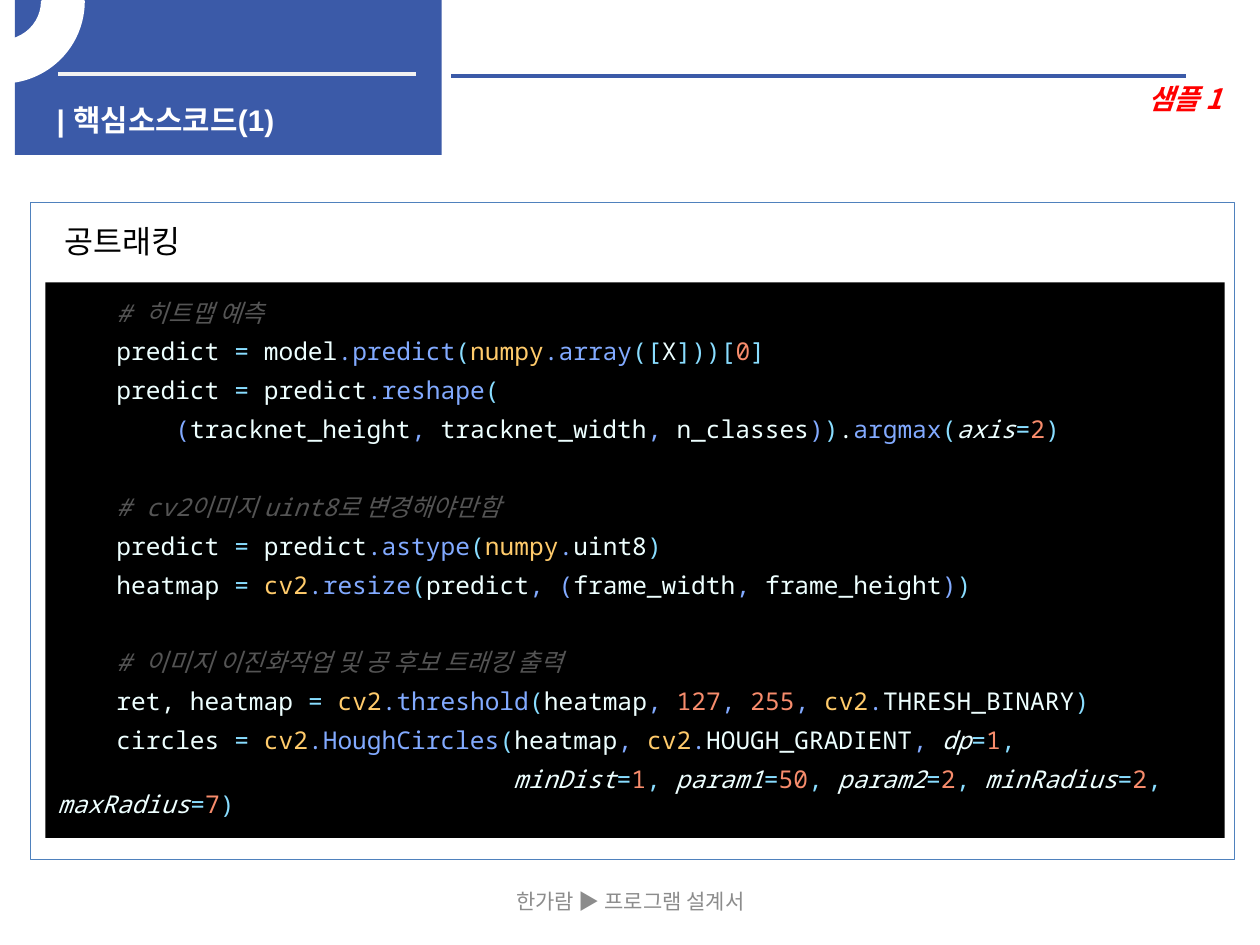
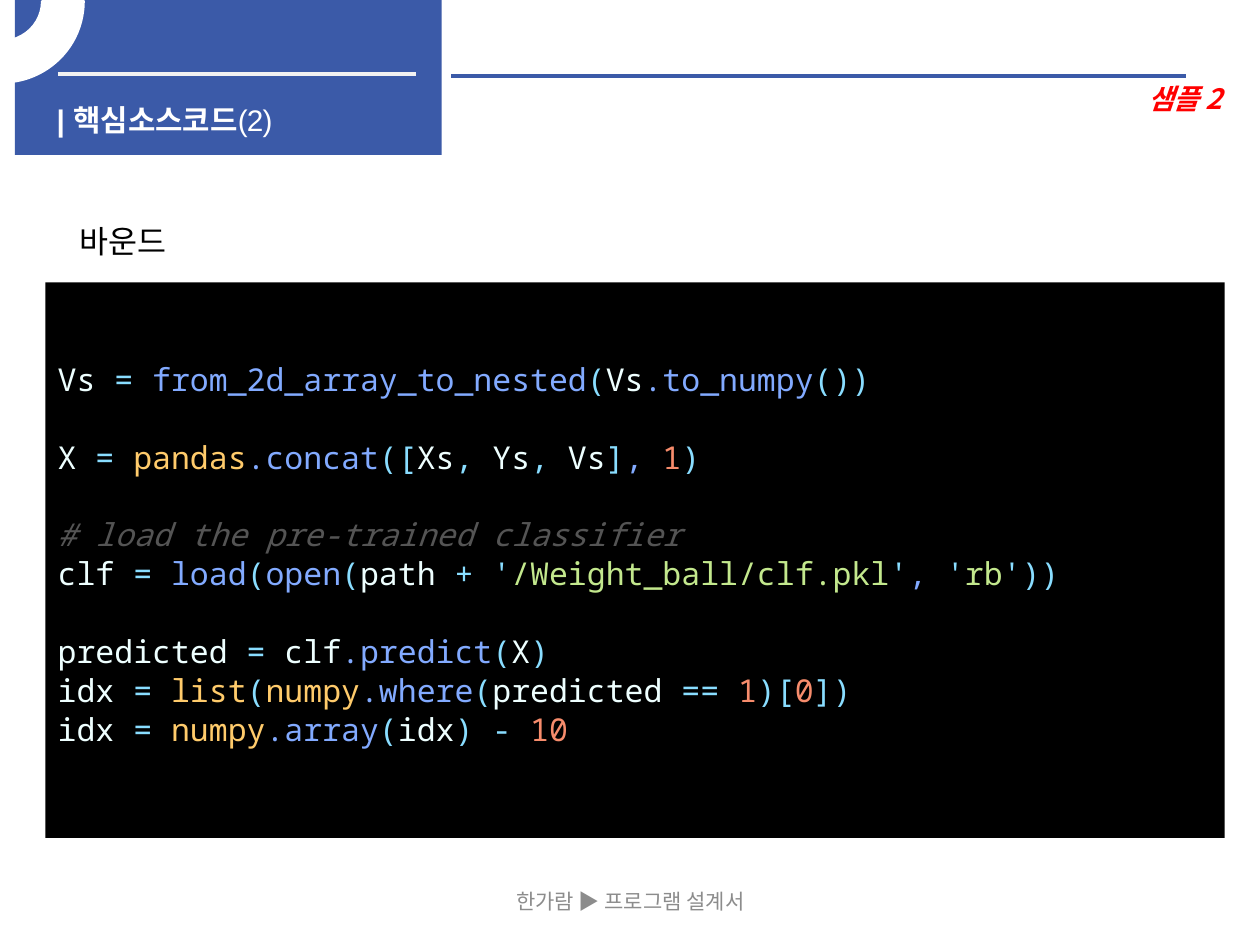
import pptx
import pptx.dml.color
import pptx.enum.shapes
import pptx.enum.text
import pptx.oxml.ns
import pptx.util
import lxml.etree

Pt = pptx.util.Pt
SHAPE = pptx.enum.shapes.MSO_SHAPE
ALIGN = pptx.enum.text.PP_ALIGN
ANCHOR = pptx.enum.text.MSO_ANCHOR

BLUE = "3B5AA8"
WHITE = "FFFFFF"
KOREAN_FONT = "Noto Sans CJK KR"
CODE_FONT = "Noto Sans Mono"
LINE_PITCH = 14.2
LINE_GAP = 8
CHAR_RATIO = 0.6

TITLE = {"size": Pt(17), "name": "Arial", "bold": True, "color": WHITE}
FOOTER = {"size": Pt(12), "name": KOREAN_FONT, "color": "8C8C8C"}
SAMPLE = {"size": Pt(16), "name": KOREAN_FONT, "bold": True, "italic": True, "color": "FF0000"}
HEADING = {"size": Pt(18), "name": KOREAN_FONT, "color": "000000"}

SYNTAX = {
    "n": {"color": "EEFFFF"},
    "o": {"color": "89DDFF"},
    "f": {"color": "82AAFF"},
    "m": {"color": "FFCB6B"},
    "v": {"color": "F78C6C"},
    "s": {"color": "C3E88D"},
    "c": {"color": "545454", "italic": True},
    "a": {"color": "EEFFFF", "italic": True},
}

TRACKING_CODE = [
    [
        (4, "c:# 히트맵 예측"),
        (4, "n:predict ~o:= ~n:model~f:.predict~o:(~m:numpy~f:.array~o:([~n:X~o:]))[~v:0~o:]"),
        (4, "n:predict ~o:= ~n:predict~f:.reshape~o:("),
        (8, "f:(~n:tracknet_height~f:, ~n:tracknet_width~f:, ~n:n_classes~f:)~o:)~n:.~f:argmax"
            "~o:(~a:axis~o:=~v:2~o:)"),
    ],
    [
        (4, "c:# cv2이미지 uint8로 변경해야만함"),
        (4, "n:predict ~o:= ~n:predict~f:.astype~o:(~m:numpy~f:.~n:uint8~o:)"),
        (4, "n:heatmap ~o:= ~m:cv2~f:.resize~o:(~n:predict~f:, (~n:frame_width~f:, "
            "~n:frame_height~f:)~o:)"),
    ],
    [
        (4, "c:# 이미지 이진화작업 및 공 후보 트래킹 출력"),
        (4, "n:ret, heatmap ~o:= ~m:cv2~f:.threshold~o:(~n:heatmap~f:, ~v:127~f:, ~v:255~f:, "
            "~m:cv2~f:.~n:THRESH_BINARY~o:)"),
        (4, "n:circles ~o:= ~m:cv2~f:.HoughCircles~o:(~n:heatmap~f:, ~m:cv2~f:."
            "~n:HOUGH_GRADIENT~f:, ~a:dp~o:=~v:1~o:,"),
        (31, "a:minDist~o:=~v:1~o:, ~a:param1~o:=~v:50~o:, ~a:param2~o:=~v:2~o:, "
             "~a:minRadius~o:=~v:2~o:, ~a:maxRadius~o:=~v:7~o:)"),
    ],
]

BOUND_CODE = [
    [(0, "n:Vs ~o:= ~f:from_2d_array_to_nested~o:(~n:Vs~f:.to_numpy~o:())")],
    [(0, "n:X ~o:= ~m:pandas~f:.concat~o:([~n:Xs~o:, ~n:Ys~o:, ~n:Vs~o:]~f:, ~v:1~o:)")],
    [
        (0, "c:# load the pre-trained classifier"),
        (0, "n:clf ~o:= ~f:load~o:(~f:open~o:(~n:path ~o:+ '~s:/Weight_ball/clf.pkl~o:'~f:, "
            "~o:'~s:rb~o:'))"),
    ],
    [
        (0, "n:predicted ~o:= ~n:clf~f:.predict~o:(~n:X~o:)"),
        (0, "n:idx ~o:= ~m:list~o:(~m:numpy~f:.where~o:(~n:predicted ~o:== ~v:1~o:)[~v:0~o:])"),
        (0, "n:idx ~o:= ~m:numpy~f:.array~o:(~n:idx~o:) - ~v:10"),
    ],
]


def paint(fill, color):
    fill.solid()
    fill.fore_color.rgb = pptx.dml.color.RGBColor.from_string(color)


def apply_format(target, values):
    for key, value in values.items():
        if key == "color":
            paint(target.fill, value)
        else:
            setattr(target, key, value)


def add_run(paragraph, text, values):
    run = paragraph.add_run()
    run.text = text
    apply_format(run.font, values)
    properties = run.font._element
    east_asian = lxml.etree.SubElement(properties, pptx.oxml.ns.qn("a:ea"))
    east_asian.set("typeface", KOREAN_FONT)
    return run


def add_box(slide, preset, place, fill=None, line=None, width=0.75):
    box = slide.shapes.add_shape(preset, *map(Pt, place))
    box.shadow.inherit = False
    for part, color in ((box.fill, fill), (box.line.fill, line)):
        if color:
            paint(part, color)
        else:
            part.background()
    if line:
        box.line.width = Pt(width)
    return box


def add_rule(slide, left, right, y, color):
    rule = slide.shapes.add_connector(
        pptx.enum.shapes.MSO_CONNECTOR.STRAIGHT, Pt(left), Pt(y), Pt(right), Pt(y))
    paint(rule.line.fill, color)
    rule.line.width = Pt(2.25)
    lxml.etree.SubElement(rule._element.spPr, pptx.oxml.ns.qn("a:effectLst"))


def add_label(slide, place, text, values, align, anchor):
    frame = slide.shapes.add_textbox(*map(Pt, place)).text_frame
    apply_format(frame, {"word_wrap": True, "vertical_anchor": anchor})
    frame.paragraphs[0].alignment = align
    add_run(frame.paragraphs[0], text, values)


def place_title(slide, number, number_format, spacing):
    title = slide.shapes.title
    title.element.getparent().append(title.element)
    apply_format(title, dict(zip(("left", "top", "width", "height"),
                                 map(Pt, (25.2, 54.7, 232.6, 21.6)))))
    apply_format(title.text_frame, {
        "word_wrap": True,
        "auto_size": pptx.enum.text.MSO_AUTO_SIZE.NONE,
        "vertical_anchor": ANCHOR.TOP,
    })
    paragraph = title.text_frame.paragraphs[0]
    paragraph.alignment = ALIGN.LEFT
    add_run(paragraph, "| 핵심소스코드", TITLE)
    counter = add_run(paragraph, f"({number})", TITLE | number_format)
    if spacing:
        counter.font._element.set("spc", str(spacing))


def add_ring(slide):
    ring = add_box(slide, SHAPE.BLOCK_ARC, (-45.4, -45.4, 92.9, 92.2), WHITE, WHITE, 2)
    for index, value in enumerate((161.587, 0, 0.25)):
        ring.adjustments[index] = value
    ring._element.spPr.xfrm.set("flipV", "1")


def add_code(slide, blocks, size):
    panel = add_box(slide, SHAPE.RECTANGLE, (25.9, 161.3, 673.9, 317.5), "000000")
    frame = panel.text_frame
    apply_format(frame, {"word_wrap": True, "vertical_anchor": ANCHOR.MIDDLE})
    paragraph = None
    for block in blocks:
        if paragraph is not None:
            paragraph.space_after = Pt(LINE_PITCH + 2 * LINE_GAP)
        for indent, markup in block:
            paragraph = frame.paragraphs[0] if paragraph is None else frame.add_paragraph()
            apply_format(paragraph, {
                "alignment": ALIGN.LEFT,
                "line_spacing": Pt(LINE_PITCH),
                "space_after": Pt(LINE_GAP),
            })
            first_line = Pt(indent * size * CHAR_RATIO)
            paragraph._p.get_or_add_pPr().set("indent", str(first_line))
            for token in markup.split("~"):
                role, _, text = token.partition(":")
                add_run(paragraph, text, {"size": Pt(size), "name": CODE_FONT} | SYNTAX[role])


def add_code_slide(deck, number, heading, blocks, size,
                   framed=False, number_format={}, spacing=0):
    slide = deck.slides.add_slide(deck.slide_layouts[5])
    add_box(slide, SHAPE.RECTANGLE, (8.6, 0, 243.9, 88.5), BLUE)
    add_rule(slide, 33.1, 237.6, 42.5, "F2F2F2")
    add_rule(slide, 257.8, 677.5, 43.2, BLUE)
    place_title(slide, number, number_format, spacing)
    add_ring(slide)
    add_label(slide, (246.2, 500.4, 228.2, 28.8), "한가람 ▶ 프로그램 설계서",
              FOOTER, ALIGN.CENTER, ANCHOR.MIDDLE)
    add_label(slide, (303.1, 43.2, 402.5, 26.6), f"샘플 {number}",
              SAMPLE, ALIGN.RIGHT, ANCHOR.TOP)
    if framed:
        add_box(slide, SHAPE.RECTANGLE, (17.3, 115.9, 688.3, 375.1), line="4F81BD")
    add_code(slide, blocks, size)
    add_label(slide, (5, 121.7, 130.3, 32.4), heading, HEADING, ALIGN.CENTER, ANCHOR.MIDDLE)


def main():
    deck = pptx.Presentation()
    apply_format(deck, {"slide_width": Pt(720), "slide_height": Pt(540)})
    add_code_slide(deck, 1, "공트래킹", TRACKING_CODE, 14, framed=True)
    add_code_slide(deck, 2, "바운드", BOUND_CODE, 18,
                   number_format={"bold": False}, spacing=-50)
    deck.save("out.pptx")


if __name__ == "__main__":
    main()
